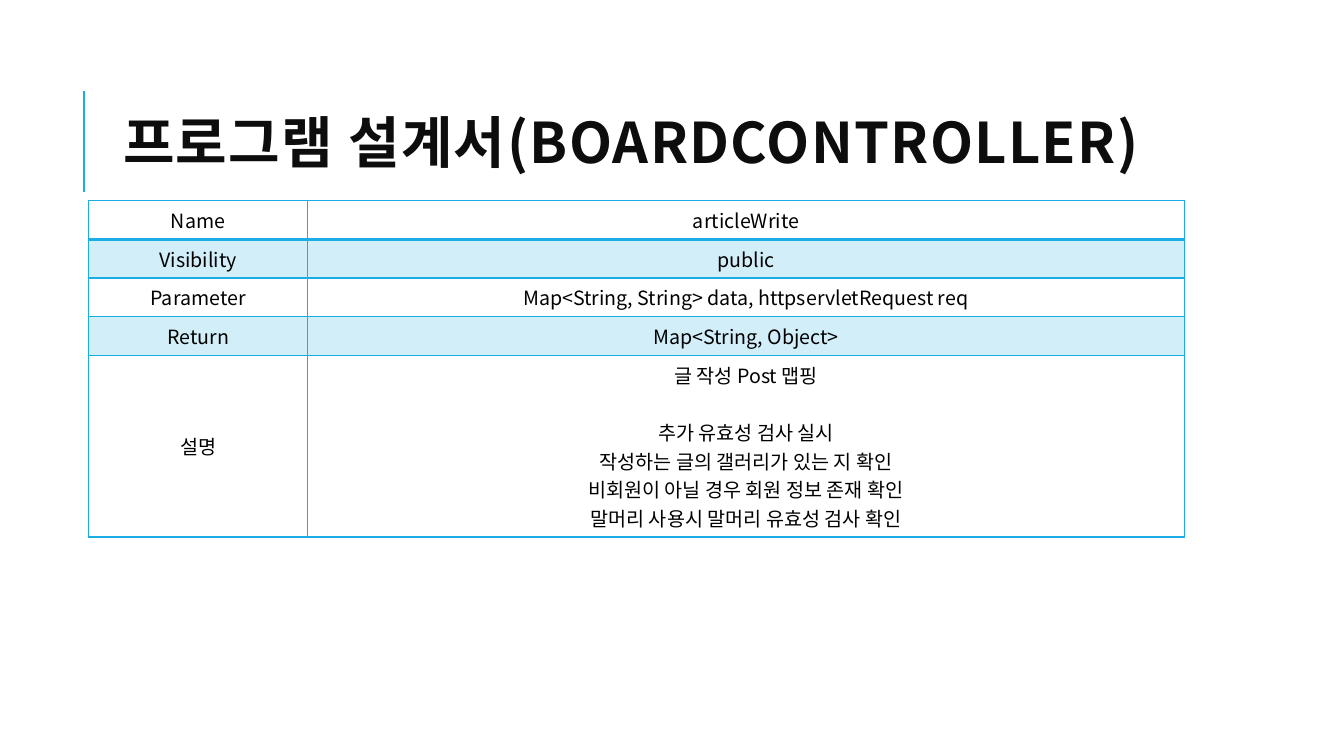
from dataclasses import dataclass

from lxml.etree import SubElement
from pptx import Presentation
from pptx.dml.color import RGBColor
from pptx.enum.shapes import MSO_CONNECTOR
from pptx.enum.text import MSO_ANCHOR, MSO_AUTO_SIZE, PP_ALIGN
from pptx.oxml.ns import qn
from pptx.util import Inches, Pt


@dataclass(frozen=True)
class Theme:
    font: str = "Noto Sans CJK KR"
    accent: str = "1CADE4"
    title_color: str = "0D0D0D"
    body_color: str = "000000"
    band_opacity: int = 20
    title_size: int = 40
    body_size: int = 14


THEME = Theme()

SPECIFICATION = [
    ("Name", ["articleWrite"]),
    ("Visibility", ["public"]),
    ("Parameter", ["Map<String, String> data, httpservletRequest req"]),
    ("Return", ["Map<String, Object>"]),
    ("설명", [
        "글 작성 Post 맵핑",
        "추가 유효성 검사 실시",
        "작성하는 글의 갤러리가 있는 지 확인",
        "비회원이 아닐 경우 회원 정보 존재 확인",
        "말머리 사용시 말머리 유효성 검사 확인",
    ]),
]
COLUMN_WIDTHS = [2.17, 8.7]
ROW_HEIGHTS = [0.38] * 4 + [1.8]


def write_text(paragraph, text, *, size, color, bold=False, align=PP_ALIGN.LEFT,
               line_spacing=1.0, space_before=0, tracking=0):
    paragraph.alignment = align
    paragraph.line_spacing = line_spacing
    paragraph.space_before = Pt(space_before)
    run = paragraph.add_run()
    run.text = text
    run.font.size = Pt(size)
    run.font.bold = bold
    run.font.name = THEME.font
    run.font.color.rgb = RGBColor.from_string(color)
    properties = run.font._element
    properties.set("spc", str(tracking * 100))
    SubElement(properties, qn("a:ea"), typeface=THEME.font)


def add_title(slide, text):
    title = slide.shapes.title
    title.left, title.top = Inches(1.12), Inches(0.64)
    title.width, title.height = Inches(10.63), Inches(1.64)
    frame = title.text_frame
    frame.word_wrap = True
    frame.auto_size = MSO_AUTO_SIZE.NONE
    frame.vertical_anchor = MSO_ANCHOR.MIDDLE
    write_text(frame.paragraphs[0], text, size=THEME.title_size,
               color=THEME.title_color, bold=True, line_spacing=0.8, tracking=1)


def add_title_rule(slide):
    rule = slide.shapes.add_connector(
        MSO_CONNECTOR.STRAIGHT, Inches(0.83), Inches(1.9), Inches(0.83), Inches(0.9))
    rule.line.color.rgb = RGBColor.from_string(THEME.accent)
    rule.line.width = Pt(1.5)
    SubElement(rule._element.spPr, qn("a:effectLst"))


def set_borders(cell, **widths):
    properties = cell._tc.get_or_add_tcPr()
    for side in "LRTB":
        border = SubElement(properties, qn(f"a:ln{side}"), w=str(Pt(widths.get(side, 1))))
        fill = SubElement(border, qn("a:solidFill"))
        SubElement(fill, qn("a:srgbClr"), val=THEME.accent)


def set_fill(cell, banded):
    if not banded:
        cell.fill.background()
        return
    cell.fill.solid()
    cell.fill.fore_color.rgb = RGBColor.from_string(THEME.accent)
    color = cell._tc.tcPr.find(qn("a:solidFill")).find(qn("a:srgbClr"))
    SubElement(color, qn("a:alpha"), val=str(THEME.band_opacity * 1000))


def fill_cell(cell, lines):
    cell.vertical_anchor = MSO_ANCHOR.MIDDLE
    frame = cell.text_frame
    for index, line in enumerate(lines):
        paragraph = frame.add_paragraph() if index else frame.paragraphs[0]
        write_text(paragraph, line, size=THEME.body_size, color=THEME.body_color,
                   align=PP_ALIGN.CENTER, space_before=20.5 if index == 1 else 0)


def add_specification(slide):
    table = slide.shapes.add_table(
        len(SPECIFICATION), len(COLUMN_WIDTHS), Inches(0.88), Inches(1.99),
        Inches(sum(COLUMN_WIDTHS)), Inches(sum(ROW_HEIGHTS))).table
    table.first_row = False
    table.horz_banding = False
    for column, width in zip(table.columns, COLUMN_WIDTHS):
        column.width = Inches(width)
    for row, height in zip(table.rows, ROW_HEIGHTS):
        row.height = Inches(height)
    for row_index, (label, details) in enumerate(SPECIFICATION):
        for cell, lines in zip(table.rows[row_index].cells, ([label], details)):
            set_borders(cell, T=2 if row_index == 1 else 1, B=2 if row_index == 0 else 1)
            set_fill(cell, banded=row_index % 2 == 1)
            fill_cell(cell, lines)


def main():
    presentation = Presentation()
    presentation.slide_width = Inches(13.33)
    presentation.slide_height = Inches(7.5)
    slide = presentation.slides.add_slide(presentation.slide_layouts.get_by_name("Title Only"))
    add_title_rule(slide)
    add_specification(slide)
    add_title(slide, "프로그램 설계서(BOARDCONTROLLER)")
    presentation.save("out.pptx")


if __name__ == "__main__":
    main()
